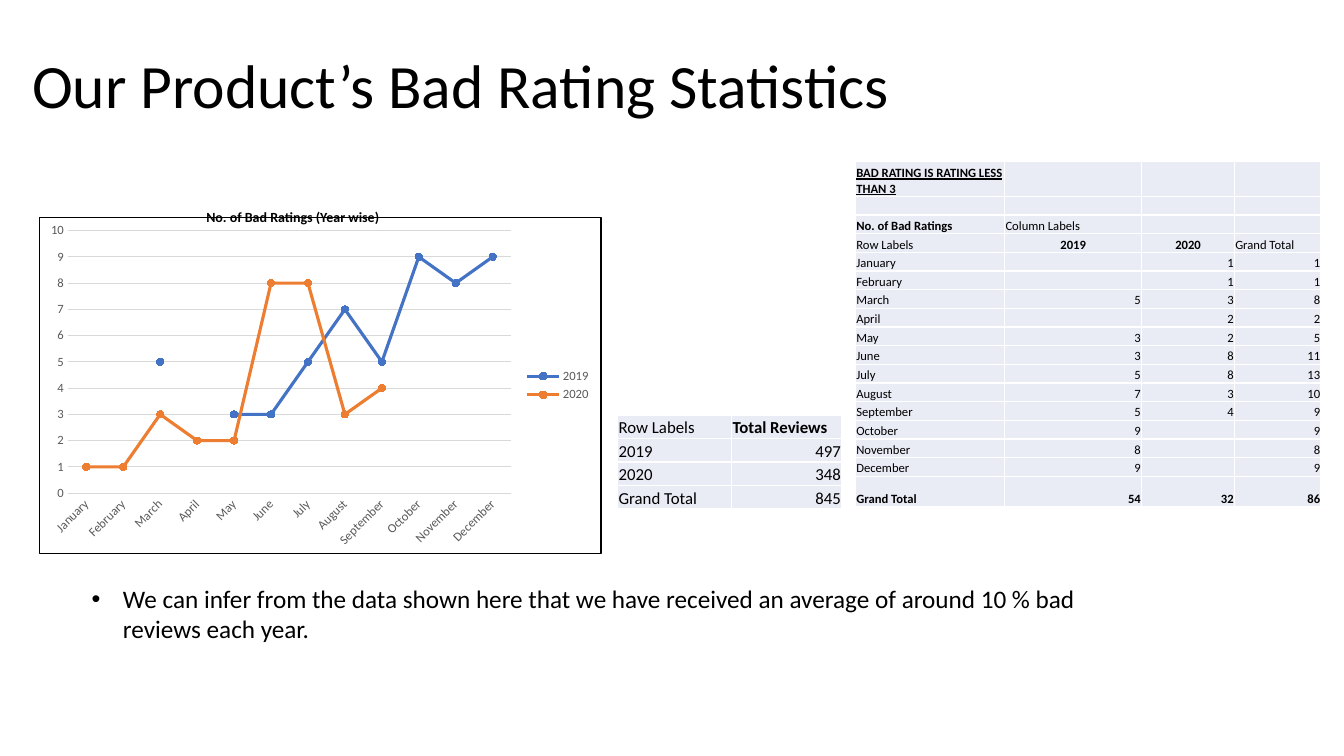
from lxml import etree
from pptx import Presentation
from pptx.chart.data import CategoryChartData
from pptx.dml.color import RGBColor
from pptx.enum.chart import XL_CHART_TYPE as ChartType
from pptx.enum.chart import XL_LEGEND_POSITION as LegendPosition
from pptx.enum.chart import XL_MARKER_STYLE as MarkerStyle
from pptx.enum.chart import XL_TICK_MARK as TickMark
from pptx.enum.text import MSO_ANCHOR as Anchor
from pptx.enum.text import PP_ALIGN as Align
from pptx.oxml import parse_xml
from pptx.oxml.ns import nsdecls, qn
from pptx.util import Cm, Pt

FONT = "Calibri"
COLORS = {"text": "000000", "axis": "595959", "grid": "D9D9D9", "cell": "E9EBF5",
          "border": "FFFFFF", "2019": "4472C4", "2020": "ED7D31"}

TITLE = "Our Product’s Bad Rating Statistics"
CHART_TITLE = "No. of Bad Ratings (Year wise)"
FINDING = ("We can infer from the data shown here that we have received an average "
           "of around 10 % bad reviews each year.")
MONTHS = ["January", "February", "March", "April", "May", "June", "July", "August",
          "September", "October", "November", "December"]
BAD_RATINGS = {
    "2019": [None, None, 5, None, 3, 3, 5, 7, 5, 9, 8, 9],
    "2020": [1, 1, 3, 2, 2, 8, 8, 3, 4, None, None, None],
}
REVIEWS = {"2019": 497, "2020": 348}


def total(values):
    return sum(value or 0 for value in values)


monthly = list(zip(*BAD_RATINGS.values()))
year_totals = [total(values) for values in BAD_RATINGS.values()]
rating_rows = [
    ["BAD RATING IS RATING LESS THAN 3", None, None, None],
    [None] * 4,
    ["No. of Bad Ratings", "Column Labels", None, None],
    ["Row Labels", *BAD_RATINGS, "Grand Total"],
    *[[month, *values, total(values)] for month, values in zip(MONTHS, monthly)],
    ["Grand Total", *year_totals, total(year_totals)],
]
review_rows = [["Row Labels", "Total Reviews"], *REVIEWS.items(),
               ["Grand Total", total(REVIEWS.values())]]

RATING_BOLD = {(0, 0), (2, 0), (3, 1), (3, 2)} | {
    (len(rating_rows) - 1, column) for column in range(4)}
RATING_HEIGHTS = [0.89] + [0.47] * (len(rating_rows) - 2) + [0.76]


def rgb(name):
    return RGBColor.from_string(COLORS[name])


def style_font(font, size, color="text", bold=False):
    font.name, font.size, font.bold = FONT, Pt(size), bold
    font.color.rgb = rgb(color)


def add_text(slide, box_cm, text, size, bold=False, anchor=Anchor.TOP):
    box = slide.shapes.add_textbox(*map(Cm, box_cm))
    frame = box.text_frame
    frame.word_wrap, frame.vertical_anchor = True, anchor
    para = frame.paragraphs[0]
    span = para.add_run()
    span.text = text
    style_font(span.font, size, bold=bold)
    return para


def style_cell(cell):
    cell.vertical_anchor = Anchor.BOTTOM
    cell.margin_left = cell.margin_right = cell.margin_top = Cm(0.02)
    cell.margin_bottom = 0
    cell.fill.solid()
    cell.fill.fore_color.rgb = rgb("cell")
    properties = cell._tc.get_or_add_tcPr()
    for index, side in enumerate(("lnL", "lnR", "lnT", "lnB")):
        properties.insert(index, parse_xml(
            f'<a:{side} {nsdecls("a")} w="{Pt(1)}"><a:solidFill>'
            f'<a:srgbClr val="{COLORS["border"]}"/></a:solidFill></a:{side}>'))


def add_table(slide, left, top, widths, heights, rows, size, bold, underlined=()):
    """Numbers go right, year headings in the first row of years go centre."""
    frame = slide.shapes.add_table(len(rows), len(widths), Cm(left), Cm(top),
                                   Cm(sum(widths)), Cm(sum(heights)))
    table = frame.table
    table.first_row = table.horz_banding = False
    for column, width in zip(table.columns, widths):
        column.width = Cm(width)
    for row, height in zip(table.rows, heights):
        row.height = Cm(height)
    for r, values in enumerate(rows):
        for c, value in enumerate(values):
            cell = table.cell(r, c)
            style_cell(cell)
            para = cell.text_frame.paragraphs[0]
            if value is None:
                end = etree.SubElement(para._p, qn("a:endParaRPr"))
                end.set("sz", str(size * 100))
                continue
            if isinstance(value, int):
                para.alignment = Align.RIGHT
            elif c and value in BAD_RATINGS:
                para.alignment = Align.CENTER
            span = para.add_run()
            span.text = str(value)
            style_font(span.font, size, bold=(r, c) in bold)
            span.font.underline = (r, c) in underlined


def add_ratings_chart(slide, box_cm):
    data = CategoryChartData()
    data.categories = MONTHS
    for year, values in BAD_RATINGS.items():
        data.add_series(year, values)
    chart = slide.shapes.add_chart(ChartType.LINE_MARKERS, *map(Cm, box_cm), data).chart
    chart.has_title = False
    style_font(chart.font, 10)
    chart.has_legend = True
    chart.legend.position = LegendPosition.RIGHT
    chart.legend.include_in_layout = False
    style_font(chart.legend.font, 9, "axis")

    months, counts = chart.category_axis, chart.value_axis
    for axis in (months, counts):
        axis.major_tick_mark = axis.minor_tick_mark = TickMark.NONE
        style_font(axis.tick_labels.font, 9, "axis")
    months._element.find(qn("c:txPr")).find(qn("a:bodyPr")).set("rot", "-2700000")
    counts.minimum_scale, counts.maximum_scale, counts.major_unit = 0, 10, 1
    counts.format.line.fill.background()
    for line in (months.format.line, counts.major_gridlines.format.line):
        line.width = Pt(0.75)
        line.color.rgb = rgb("grid")

    chart.plots[0].vary_by_categories = False
    for series in chart.plots[0].series:
        series.smooth = False
        series.format.line.width = Pt(2.25)
        series.format.line.color.rgb = rgb(series.name)
        marker = series.marker
        marker.style, marker.size = MarkerStyle.CIRCLE, 5
        marker.format.fill.solid()
        marker.format.fill.fore_color.rgb = rgb(series.name)
        marker.format.line.color.rgb = rgb(series.name)

    space = chart._chartSpace
    space.find(qn("c:chart")).addnext(parse_xml(
        f'<c:spPr {nsdecls("c", "a")}><a:noFill/><a:ln w="{Pt(0.75)}"><a:solidFill>'
        f'<a:srgbClr val="{COLORS["text"]}"/></a:solidFill></a:ln></c:spPr>'))
    plot_area = space.find(qn("c:chart")).find(qn("c:plotArea"))
    for old in plot_area.findall(qn("c:layout")):
        plot_area.remove(old)
    layout = etree.Element(qn("c:layout"))
    manual = etree.SubElement(layout, qn("c:manualLayout"))
    for tag, value in (("layoutTarget", "inner"), ("xMode", "edge"), ("yMode", "edge"),
                       ("x", 0.05), ("y", 0.04), ("w", 0.79), ("h", 0.78)):
        etree.SubElement(manual, qn(f"c:{tag}")).set("val", str(value))
    plot_area.insert(0, layout)


def main():
    deck = Presentation()
    deck.slide_width, deck.slide_height = Cm(33.87), Cm(19.05)
    page = deck.slides.add_slide(deck.slide_layouts[6])

    add_table(page, 21.56, 4.06, [3.76, 3.45, 2.34, 2.18], RATING_HEIGHTS,
              rating_rows, 9, RATING_BOLD, underlined={(0, 0)})
    title = add_text(page, (0.56, 0.38, 29.21, 3.68), TITLE, 44, anchor=Anchor.MIDDLE)
    title.line_spacing = 0.9

    finding = add_text(page, (2.06, 14.58, 26.31, 1.8), FINDING, 18)
    properties = finding._p.get_or_add_pPr()
    properties.set("marL", str(Cm(0.79)))
    properties.set("indent", str(-Cm(0.79)))
    etree.SubElement(properties, qn("a:buFont")).set("typeface", "Arial")
    etree.SubElement(properties, qn("a:buChar")).set("char", "•")

    add_table(page, 15.57, 10.46, [2.87, 2.77], [0.59] * len(review_rows),
              review_rows, 12, bold={(0, 1)})
    add_text(page, (4.95, 5.13, 6.32, 0.69), CHART_TITLE, 10, bold=True)
    add_ratings_chart(page, (0.99, 5.46, 14.17, 8.51))
    deck.save("out.pptx")


if __name__ == "__main__":
    main()
